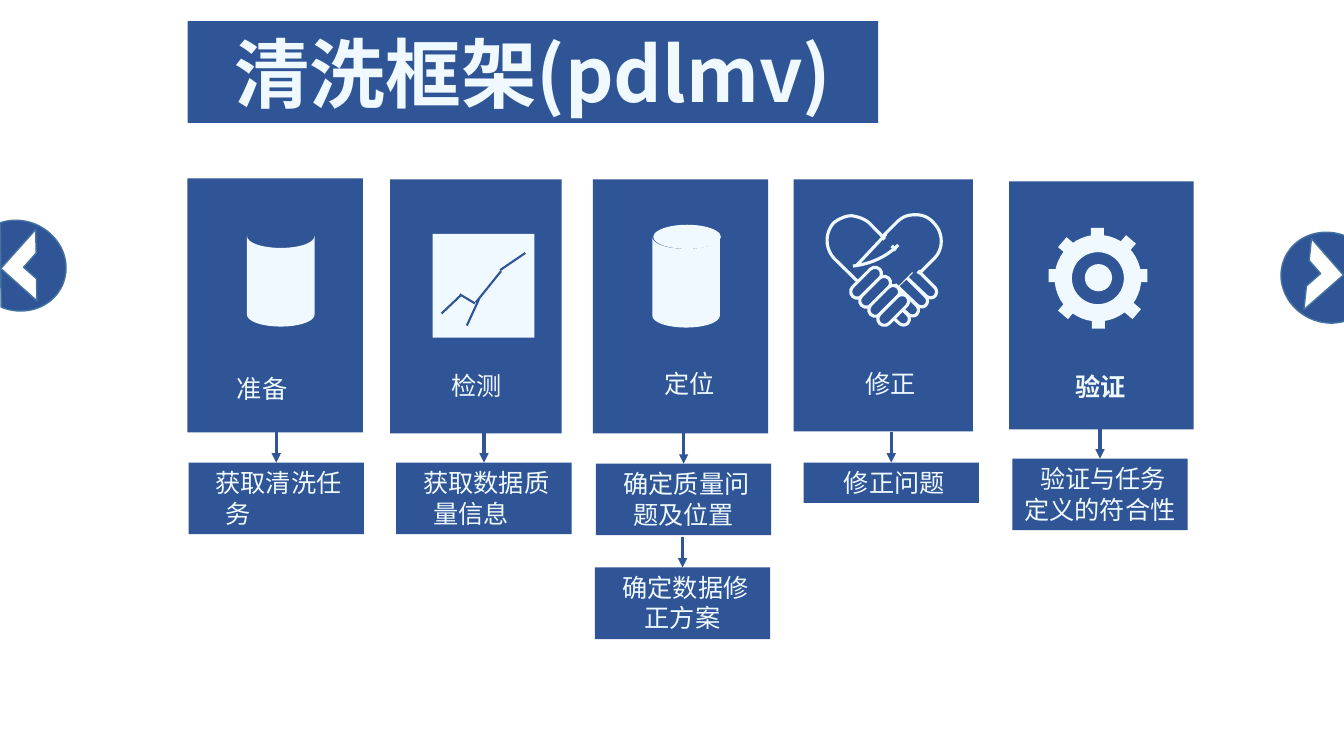
from pptx import Presentation
from pptx.dml.color import RGBColor
from pptx.enum.shapes import MSO_CONNECTOR, MSO_SHAPE
from pptx.enum.text import MSO_ANCHOR, PP_ALIGN
from pptx.oxml.ns import qn
from pptx.util import Inches, Pt
from lxml.etree import SubElement

BLUE = RGBColor(0x2F, 0x55, 0x97)
EDGE = RGBColor(0x43, 0x73, 0x9E)
PALE = RGBColor(0xEF, 0xF9, 0xFF)
WHITE = RGBColor(0xFF, 0xFF, 0xFF)
FONT = "Noto Sans CJK SC"

TITLE = "清洗框架(pdlmv)"
# card left, top, width, height; label, label centre, label top, bold
CARDS = [
    (1.86, 1.77, 1.74, 2.52, "准备", 2.6, 3.65, False),
    (3.87, 1.78, 1.7, 2.52, "检测", 4.73, 3.62, False),
    (5.88, 1.78, 1.74, 2.52, "定位", 6.84, 3.6, False),
    (7.87, 1.78, 1.78, 2.5, "修正", 8.83, 3.61, False),
    (10.01, 1.8, 1.83, 2.46, "验证", 10.92, 3.63, True),
]
# task left, top, height, text, hanging
TASK_WIDTH, ARROW_LENGTH = 1.74, 0.3
TASKS = [
    (1.87, 4.59, 0.71, "获取清洗任务", True),
    (3.93, 4.59, 0.71, "获取数据质量信息", True),
    (5.91, 4.6, 0.71, "确定质量问题及位置", False),
    (5.9, 5.63, 0.71, "确定数据修正方案", False),
    (7.97, 4.59, 0.4, "修正问题", False),
    (10.04, 4.55, 0.71, "验证与任务定义的符合性", False),
]
TREND = [(4.38, 3.11, 4.57, 2.93), (4.56, 2.92, 4.71, 3.01), (4.63, 3.23, 4.75, 2.97),
         (4.72, 3, 4.97, 2.69), (5.21, 2.51, 4.96, 2.68)]
# outlines: a pair is a line end, six numbers are a curve
LEFT_ARM = [(8.45, 2.14), (8.51, 2.15, 8.58, 2.17, 8.63, 2.22), (9.06, 2.66), (8.72, 3),
            (8.28, 2.57), (8.18, 2.47, 8.18, 2.31, 8.27, 2.21),
            (8.32, 2.17, 8.39, 2.14, 8.45, 2.14)]
FINGER = [(8.81, 2.93), (9, 3.12), (9.02, 3.14, 9.03, 3.18, 9, 3.21),
          (8.98, 3.23, 8.94, 3.23, 8.91, 3.2), (8.72, 3.02)]
RIGHT_ARM = [(9.08, 2.13), (9.14, 2.13, 9.21, 2.15, 9.26, 2.21),
             (9.36, 2.31, 9.36, 2.47, 9.27, 2.56), (9.12, 2.71), (8.75, 2.35),
             (8.9, 2.2), (8.95, 2.15, 9.01, 2.13, 9.08, 2.13)]
THUMB = [(8.46, 2.64), (8.62, 2.62, 8.78, 2.56, 8.91, 2.43)]
HAND_LINES = [(8.79, 2.32, 8.49, 2.64, PALE, 2.25), (8.89, 2.81, 9.03, 2.67, BLUE, 4.5),
              (8.88, 2.49, 9.1, 2.69, BLUE, 6), (8.78, 2.37, 8.85, 2.43, BLUE, 4.5)]
GEAR_TEETH = [(10.82, 2.26, 0), (10.83, 3.13, 0), (11.25, 2.67, 0), (10.4, 2.67, 0),
              (11.16, 3.01, 40.6), (10.52, 2.38, 40.6), (11.11, 2.36, 40.6),
              (10.52, 3.01, 40.6)]
# chord left, top, rotation; frame left, top, rotation
PAGE_BUTTONS = [(12.7, 2.31, 23.3, 12.71, 2.48, 138.8), (-0.3, 2.19, 202.3, 0.1, 2.39, 311.8)]

presentation = Presentation()
presentation.slide_width, presentation.slide_height = Inches(13.33), Inches(7.5)
slide = presentation.slides.add_slide(presentation.slide_layouts[6])


def paint(shape, fill, line=None, weight=1):
    """Set fill and outline, and drop the shadow."""
    shape.shadow.inherit = False
    if fill is None:
        shape.fill.background()
    else:
        shape.fill.solid()
        shape.fill.fore_color.rgb = fill
    if line is None:
        shape.line.fill.background()
    else:
        shape.line.color.rgb = line
        shape.line.width = Pt(weight)
    return shape


def add_preset(kind, left, top, width, height, fill, rotation=0, line=None, weight=1):
    """Add a painted preset shape."""
    shape = slide.shapes.add_shape(kind, Inches(left), Inches(top), Inches(width), Inches(height))
    shape.rotation = rotation
    return paint(shape, fill, line, weight)


def add_line(x1, y1, x2, y2, color, weight, arrow=False):
    """Add a straight connector, with an arrowhead at its end if wanted."""
    connector = slide.shapes.add_connector(
        MSO_CONNECTOR.STRAIGHT, Inches(x1), Inches(y1), Inches(x2), Inches(y2))
    connector.line.color.rgb = color
    connector.line.width = Pt(weight)
    if arrow:
        SubElement(connector.line._get_or_add_ln(), qn("a:tailEnd"), type="triangle")
    SubElement(connector._element.spPr, qn("a:effectLst"))


def flatten(outline):
    """Turn lines and curves into a list of points in thousandths of an inch."""
    points = [outline[0]]
    for step in outline[1:]:
        if len(step) == 2:
            points.append(step)
            continue
        start, controls = points[-1], (step[:2], step[2:4], step[4:])
        for t in (k / 12 for k in range(1, 13)):
            weights = ((1 - t) ** 3, 3 * t * (1 - t) ** 2, 3 * t * t * (1 - t), t ** 3)
            points.append(tuple(sum(w * p[axis] for w, p in zip(weights, (start, *controls)))
                                for axis in (0, 1)))
    return [(x * 1000, y * 1000) for x, y in points]


def add_outline(outlines, fill=None, line=None, close=True):
    """Add one freeform made of several outlines."""
    builder = None
    for points in map(flatten, outlines):
        if builder is None:
            builder = slide.shapes.build_freeform(*points[0], scale=914.4)
        else:
            builder.move_to(*points[0])
        builder.add_line_segments(points[1:], close=close)
    return paint(builder.convert_to_shape(), fill, line, 2.25)


def write(shape, text, size=18, bold=False, anchor=MSO_ANCHOR.TOP, align=PP_ALIGN.CENTER,
          margin=0, indent=0):
    """Write one paragraph into a shape."""
    frame = shape.text_frame
    frame.word_wrap = True
    frame.vertical_anchor = anchor
    paragraph = frame.paragraphs[0]
    paragraph.alignment = align
    if indent:
        properties = paragraph._p.get_or_add_pPr()
        properties.set("marL", str(Inches(margin)))
        properties.set("indent", str(Inches(indent)))
    run = paragraph.add_run()
    run.text = text
    run.font.size, run.font.bold, run.font.name = Pt(size), bold, FONT
    run.font.color.rgb = PALE
    SubElement(run._r.get_or_add_rPr(), qn("a:ea"), typeface=FONT)


def add_cylinder(left, top):
    """Add a cylinder body with a hollow top and a round bottom."""
    width, drop, depth = 0.67, 0.78, 0.12
    middle, right, low = left + width / 2, left + width, top + drop
    add_outline([[(left, top),
                  (left, top + 0.07, left + 0.15, top + depth, middle, top + depth),
                  (right - 0.15, top + depth, right, top + 0.07, right, top), (right, low),
                  (right, low + 0.07, right - 0.15, low + depth, middle, low + depth),
                  (left + 0.15, low + depth, left, low + 0.07, left, low)]], PALE)


def add_handshake():
    """Add the two shaking hands."""
    fingers = [[tuple(v + 0.09 * k * (-1) ** i for i, v in enumerate(step)) for step in FINGER]
               for k in range(4)]
    add_outline([*fingers, LEFT_ARM], line=PALE)
    for k in range(4):
        knuckle = add_preset(MSO_SHAPE.ROUNDED_RECTANGLE, 8.4 + 0.09 * k, 2.74 + 0.09 * k,
                             0.38, 0.13, BLUE, 315, PALE, 2.25)
        knuckle.adjustments[0] = 0.5
    add_outline([RIGHT_ARM], line=PALE)
    add_outline([THUMB], line=PALE, close=False)
    for line in HAND_LINES:
        add_line(*line)


def add_gear():
    """Add the gear wheel."""
    add_preset(MSO_SHAPE.OVAL, 10.76, 2.62, 0.27, 0.27, PALE)
    add_preset(MSO_SHAPE.DONUT, 10.46, 2.33, 0.86, 0.86, PALE).adjustments[0] = 0.2
    for left, top, rotation in GEAR_TEETH:
        add_preset(MSO_SHAPE.RECTANGLE, left, top, 0.13, 0.13, PALE, rotation)


write(add_preset(MSO_SHAPE.RECTANGLE, 1.86, 0.21, 6.85, 1.01, BLUE), TITLE, 54, True,
      MSO_ANCHOR.MIDDLE)

for left, top, width, height, label, centre, label_top, bold in CARDS:
    add_preset(MSO_SHAPE.RECTANGLE, left, top, width, height, BLUE)
    label_box = slide.shapes.add_textbox(
        Inches(centre - 0.75), Inches(label_top), Inches(1.5), Inches(0.4))
    write(label_box, label, bold=bold)

add_cylinder(2.45, 2.34)
add_preset(MSO_SHAPE.RECTANGLE, 4.29, 2.32, 1.01, 1.03, PALE)
for segment in TREND:
    add_line(*segment, BLUE, 1.5)
add_preset(MSO_SHAPE.OVAL, 6.48, 2.23, 0.67, 0.24, PALE)
add_cylinder(6.47, 2.35)
add_handshake()
add_gear()

for left, top, height, text, hanging in TASKS:
    task = add_preset(MSO_SHAPE.RECTANGLE, left, top, TASK_WIDTH, height, BLUE)
    if hanging:
        write(task, text, align=PP_ALIGN.LEFT, margin=0.27, indent=-0.1)
    else:
        write(task, text, indent=0.06)
    middle = left + TASK_WIDTH / 2
    add_line(middle, top - ARROW_LENGTH, middle, top, BLUE, 2.25, arrow=True)

for left, top, turn, frame_left, frame_top, frame_turn in PAGE_BUTTONS:
    add_preset(MSO_SHAPE.CHORD, left, top, 0.96, 0.89, BLUE, turn, EDGE)
    add_preset(MSO_SHAPE.HALF_FRAME, frame_left, frame_top, 0.52, 0.48, WHITE, frame_turn, EDGE)

presentation.save("out.pptx")
